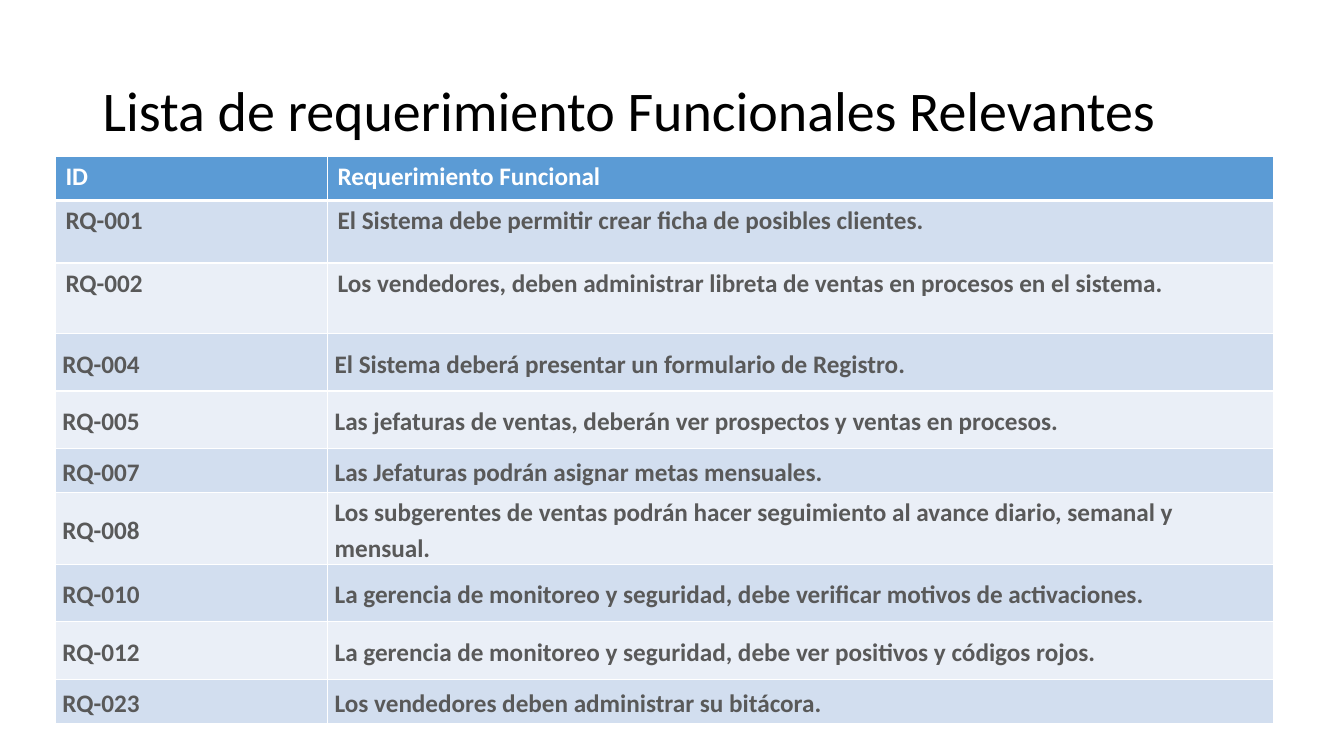
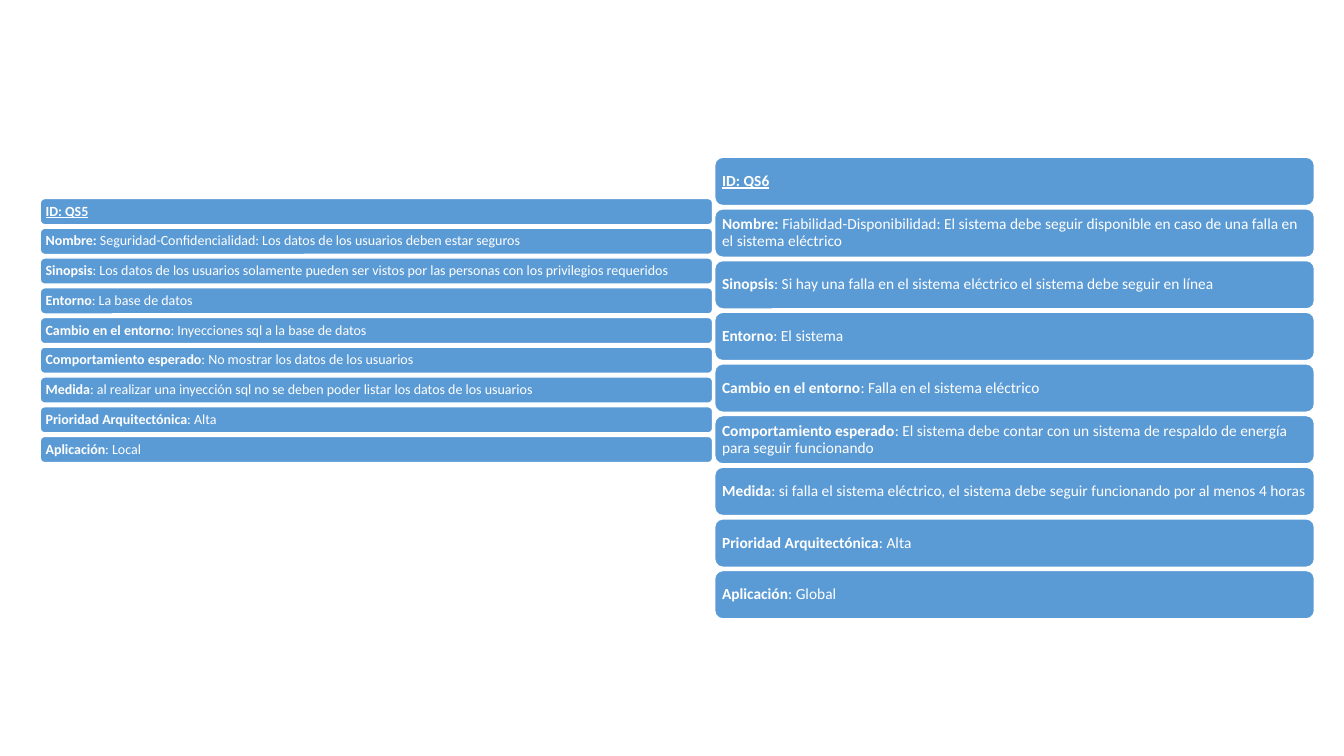
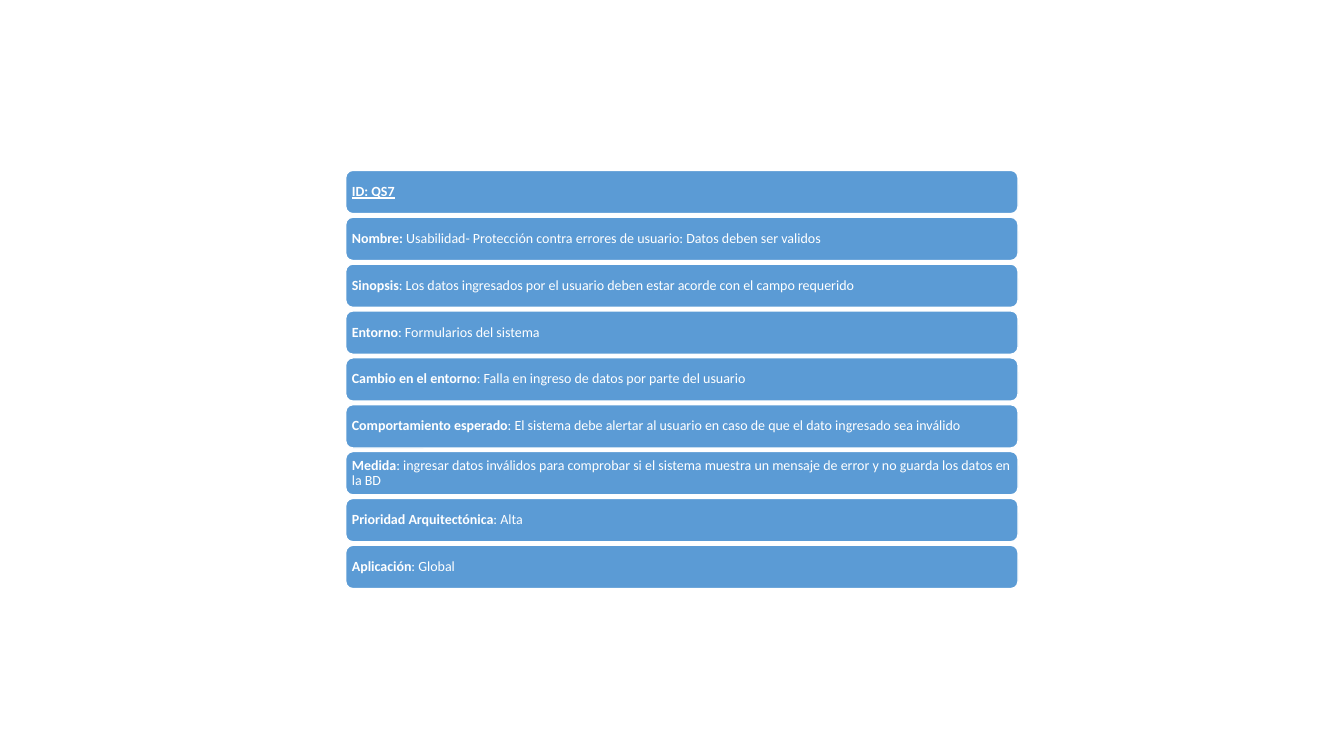
from dataclasses import dataclass

import lxml.etree
import pptx
import pptx.dml.color
import pptx.enum.shapes
import pptx.enum.text
import pptx.oxml.ns
import pptx.util

# Shared look
PX = 9144  # EMU per px, 100 px to the inch
FONT = "Calibri"
WHITE, BLACK, GREY = "FFFFFF", "000000", "595959"
BLUE, BANDS = "5B9BD5", ("D2DEEF", "EAEFF7")
MIDDLE = pptx.enum.text.MSO_ANCHOR.MIDDLE
TOP = pptx.enum.text.MSO_ANCHOR.TOP

# Bold label and the plain text that follows it on every card
LABELS = (
    ("Nombre: ", ""),
    ("Sinopsis", ": "),
    ("Entorno", ": "),
    ("Cambio en el entorno", ": "),
    ("Comportamiento esperado", ": "),
    ("Medida", ": "),
    ("Prioridad Arquitectónica", ": "),
    ("Aplicación", ": "),
)


@dataclass
class Row:
    code: str
    text: str
    height: int
    loose: bool = True  # centred, with wider line spacing


@dataclass
class Card:
    code: str
    left: int
    top: int
    last: int  # top of the last bar
    width: int
    height: int
    size: int
    inset: int
    texts: tuple[str, ...]


ROWS = (
    Row("ID", "Requerimiento Funcional", 44, False),
    Row("RQ-001", "El Sistema debe permitir crear ficha de posibles clientes.", 62, False),
    Row("RQ-002", "Los vendedores, deben administrar libreta de ventas en procesos en el sistema.",
        70, False),
    Row("RQ-004", "El Sistema deberá presentar un formulario de Registro.", 57),
    Row("RQ-005", "Las jefaturas de ventas, deberán ver prospectos y ventas en procesos.", 57),
    Row("RQ-007", "Las Jefaturas podrán asignar metas mensuales.", 44),
    Row("RQ-008", "Los subgerentes de ventas podrán hacer seguimiento al avance diario, "
        "semanal y mensual.", 71),
    Row("RQ-010", "La gerencia de monitoreo y seguridad, debe verificar motivos de activaciones.", 57),
    Row("RQ-012", "La gerencia de monitoreo y seguridad, debe ver positivos y códigos rojos.", 57),
    Row("RQ-023", "Los vendedores deben administrar su bitácora.", 44),
)

SAFETY = Card("QS5", 40, 197, 433, 667, 26, 10, 4, (
    "Seguridad-Confidencialidad: Los datos de los usuarios deben estar seguros",
    "Los datos de los usuarios solamente pueden ser vistos por las personas "
    "con los privilegios requeridos",
    "La base de datos",
    "Inyecciones sql a la base de datos",
    "No mostrar los datos de los usuarios",
    "al realizar una inyección sql no se deben poder listar los datos de los usuarios",
    "Alta",
    "Local",
))
UPTIME = Card("QS6", 709, 156, 566, 595, 48, 11, 5, (
    "Fiabilidad-Disponibilidad: El sistema debe seguir disponible en caso de una falla "
    "en el sistema eléctrico",
    "Si hay una falla en el sistema eléctrico el sistema debe seguir en línea",
    "El sistema",
    "Falla en el sistema eléctrico",
    "El sistema debe contar con un sistema de respaldo de energía para seguir funcionando",
    "si falla el sistema eléctrico, el sistema debe seguir funcionando por al menos 4 horas",
    "Alta",
    "Global",
))
USAGE = Card("QS7", 343, 169, 541, 667, 43, 10, 4, (
    "Usabilidad- Protección contra errores de usuario: Datos deben ser validos",
    "Los datos ingresados por el usuario deben estar acorde con el campo requerido",
    "Formularios del sistema",
    "Falla en ingreso de datos por parte del usuario",
    "El sistema debe alertar al usuario en caso de que el dato ingresado sea inválido",
    "ingresar datos inválidos para comprobar si el sistema muestra un mensaje de error "
    "y no guarda los datos en la BD",
    "Alta",
    "Global",
))


def px(count: float) -> pptx.util.Emu:
    return pptx.util.Emu(round(count * PX))


def color(code: str) -> pptx.dml.color.RGBColor:
    return pptx.dml.color.RGBColor.from_string(code)


def write(frame, text: str, *, size: int, ink: str = WHITE, bold: bool = False,
          under: bool = False, lines: float = 0.9, after: int = 0) -> None:
    """Add a run to the first paragraph of a frame."""
    para = frame.paragraphs[0]
    para.alignment = pptx.enum.text.PP_ALIGN.LEFT
    para.line_spacing = lines
    para.space_after = pptx.util.Pt(after)
    run = para.add_run()
    run.text = text
    font = run.font
    font.name, font.size = FONT, pptx.util.Pt(size)
    font.bold, font.underline = bold, under
    font.color.rgb = color(ink)


def edge(cell, side: str, width: int) -> None:
    """Draw a white border on one side of a cell."""
    props = cell._tc.get_or_add_tcPr()
    line = lxml.etree.SubElement(props, pptx.oxml.ns.qn(f"a:ln{side}"),
                                 w=str(pptx.util.Pt(width)))
    fill = lxml.etree.SubElement(line, pptx.oxml.ns.qn("a:solidFill"))
    lxml.etree.SubElement(fill, pptx.oxml.ns.qn("a:srgbClr"), val=WHITE)


def title(slide, text: str) -> None:
    box = slide.shapes.add_textbox(px(92), px(40), px(1150), px(145))
    frame = box.text_frame
    frame.word_wrap = True
    frame.vertical_anchor = MIDDLE
    write(frame, text, size=40, ink=BLACK)


def grid(slide, rows: tuple[Row, ...]) -> None:
    widths = (270, 939)
    table = slide.shapes.add_table(
        len(rows), len(widths), px(55), px(155), px(sum(widths)),
        px(sum(row.height for row in rows))).table
    for col, width in zip(table.columns, widths):
        col.width = px(width)
    for i, row in enumerate(rows):
        table.rows[i].height = px(row.height)
        for j, text in enumerate((row.code, row.text)):
            cell = table.cell(i, j)
            # Borders come before the fill, the header has a thick rule below
            for side, width in (("L", 1), ("R", 1), ("T", 3 if i == 1 else 1),
                                ("B", 3 if i == 0 else 1)):
                edge(cell, side, width)
            cell.fill.solid()
            cell.fill.fore_color.rgb = color(BANDS[(i - 1) % 2] if i else BLUE)
            cell.vertical_anchor = MIDDLE if row.loose else TOP
            if row.loose:
                cell.margin_left = cell.margin_right = px(7)
                cell.margin_top = cell.margin_bottom = 0
            write(cell.text_frame, text, size=18, ink=GREY if i else WHITE, bold=True,
                  lines=1.15 if row.loose else 1.0, after=3 if row.loose else 0)


def bar(slide, card: Card, top: float):
    """Draw one rounded bar and return its text frame."""
    shape = slide.shapes.add_shape(
        pptx.enum.shapes.MSO_SHAPE.ROUNDED_RECTANGLE,
        px(card.left), px(top), px(card.width), px(card.height))
    shape.shadow.inherit = False
    shape.fill.solid()
    shape.fill.fore_color.rgb = color(BLUE)
    shape.line.color.rgb = color(WHITE)
    shape.line.width = pptx.util.Pt(1)
    frame = shape.text_frame
    frame.word_wrap = True
    frame.vertical_anchor = MIDDLE
    frame.margin_left = frame.margin_right = px(card.inset)
    frame.margin_top = frame.margin_bottom = px(card.inset)
    return frame


def stack(slide, card: Card) -> None:
    """Draw a card as evenly spaced bars, headed by its code."""
    step = (card.last - card.top) / len(LABELS)
    write(bar(slide, card, card.top), f"ID: {card.code}",
          size=card.size, bold=True, under=True)
    for i, ((label, mark), text) in enumerate(zip(LABELS, card.texts), 1):
        frame = bar(slide, card, card.top + i * step)
        write(frame, label, size=card.size, bold=True)
        write(frame, mark + text, size=card.size)


def main() -> None:
    deck = pptx.Presentation()
    deck.slide_width, deck.slide_height = px(1333.33), px(750)
    blank = deck.slide_layouts[6]

    # Requirements table
    slide = deck.slides.add_slide(blank)
    title(slide, "Lista de requerimiento Funcionales Relevantes")
    grid(slide, ROWS)

    # Quality scenarios
    for cards in ((SAFETY, UPTIME), (USAGE,)):
        slide = deck.slides.add_slide(blank)
        for card in cards:
            stack(slide, card)

    deck.save("out.pptx")


if __name__ == "__main__":
    main()
